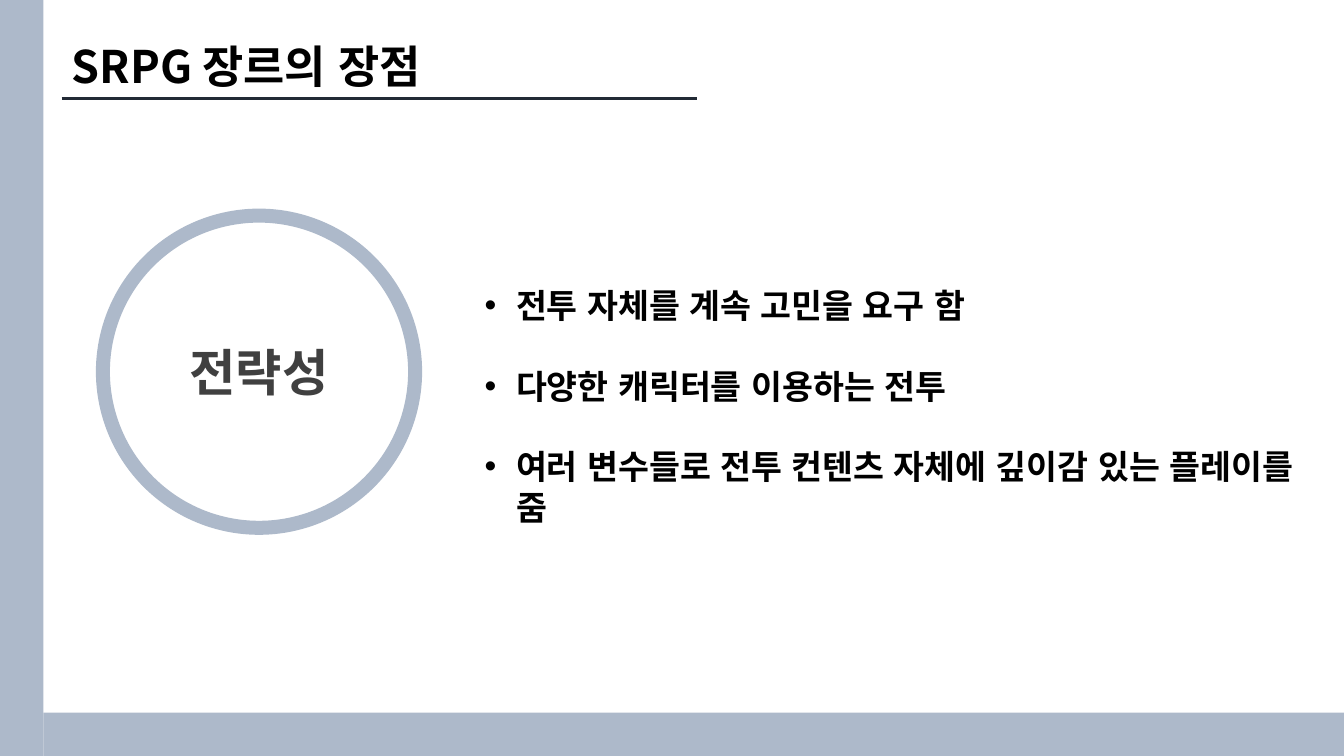
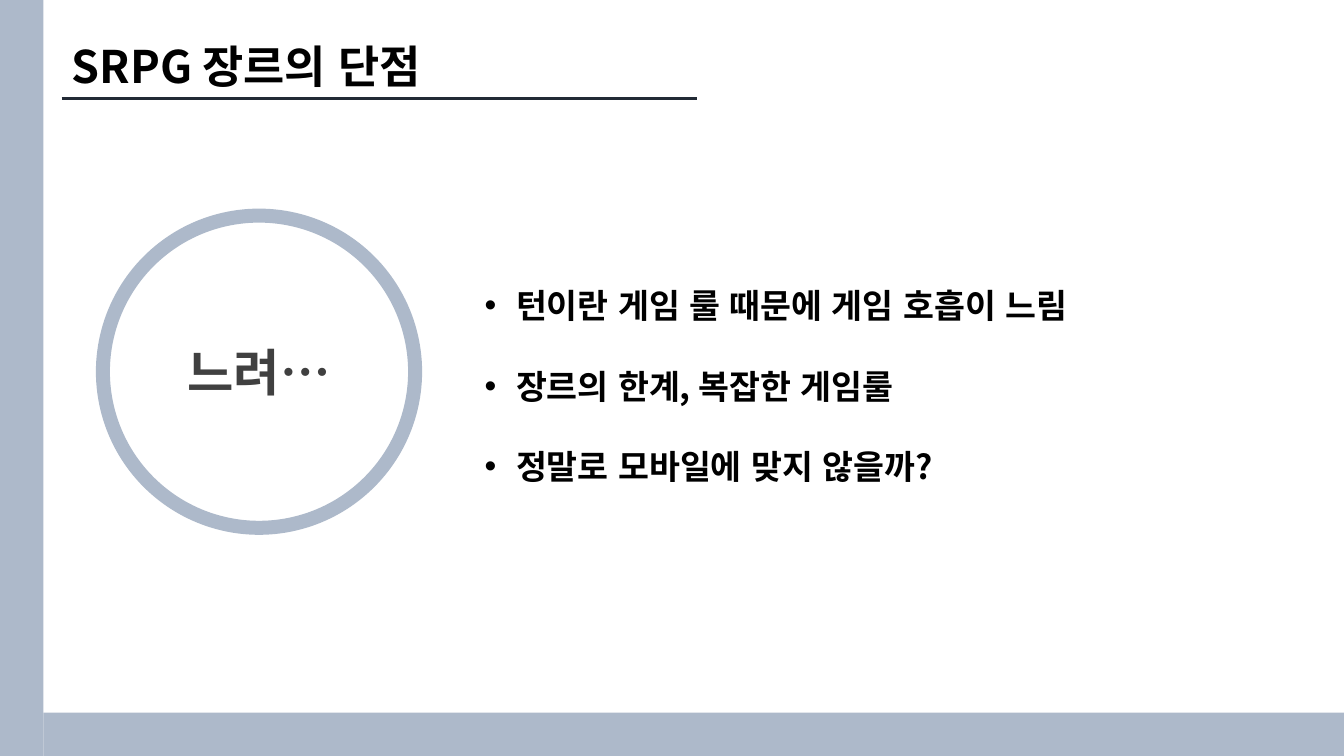
from dataclasses import dataclass

from lxml import etree
from pptx import Presentation
from pptx.dml.color import RGBColor
from pptx.enum import lang, shapes, text
from pptx.oxml import ns
from pptx.util import Pt


@dataclass(frozen=True)
class Theme:
    font: str = "Noto Sans CJK KR"
    accent: RGBColor = RGBColor(0xAD, 0xB9, 0xCA)
    rule: RGBColor = RGBColor(0x22, 0x2A, 0x35)
    ink: RGBColor = RGBColor(0, 0, 0)
    keyword: RGBColor = RGBColor(0x40, 0x40, 0x40)
    title_size: int = 32
    keyword_size: int = 36
    bullet_size: int = 24
    line_ratio: float = 1.2


THEME = Theme()
WIDTH, HEIGHT, BAND = 960, 540, 31

SLIDES = [
    ("SRPG 장르의 장점", "전략성", [
        "전투 자체를 계속 고민을 요구 함",
        "다양한 캐릭터를 이용하는 전투",
        "여러 변수들로 전투 컨텐츠 자체에 깊이감 있는 플레이를 줌",
    ]),
    ("SRPG 장르의 단점", "느려…", [
        "턴이란 게임 룰 때문에 게임 호흡이 느림",
        "장르의 한계, 복잡한 게임룰",
        "정말로 모바일에 맞지 않을까?",
    ]),
]


# Text helpers
def format_paragraph(paragraph, size, color, alignment=text.PP_ALIGN.LEFT):
    paragraph.alignment = alignment
    paragraph.line_spacing = Pt(size * THEME.line_ratio)
    for run in paragraph.runs:
        font = run.font
        font.name = THEME.font
        font.size = Pt(size)
        font.bold = True
        font.color.rgb = color
        font.language_id = lang.MSO_LANGUAGE_ID.KOREAN
        east_asian = etree.SubElement(run._r.get_or_add_rPr(), ns.qn("a:ea"))
        east_asian.set("typeface", THEME.font)


def add_bullet_mark(paragraph, indent=22.5):
    properties = paragraph._p.get_or_add_pPr()
    properties.set("marL", str(Pt(indent)))
    properties.set("indent", str(-Pt(indent)))
    etree.SubElement(properties, ns.qn("a:buFont")).set("typeface", "Arial")
    etree.SubElement(properties, ns.qn("a:buChar")).set("char", "•")


# Frame shared by all slides
def add_band(slide, left, top, width, height):
    band = slide.shapes.add_shape(
        shapes.MSO_SHAPE.RECTANGLE, Pt(left), Pt(top), Pt(width), Pt(height))
    band.shadow.inherit = False
    band.fill.solid()
    band.fill.fore_color.rgb = THEME.accent
    band.line.fill.background()


def add_frame(slide):
    add_band(slide, 0, 0, BAND, HEIGHT)
    add_band(slide, BAND, HEIGHT - BAND, WIDTH - BAND, BAND)


def add_title(slide, title):
    shape = slide.shapes.title
    shape.left, shape.top, shape.width, shape.height = Pt(44), Pt(24), Pt(459), Pt(46)
    frame = shape.text_frame
    frame.text = title
    frame.auto_size = text.MSO_AUTO_SIZE.NONE
    frame.vertical_anchor = text.MSO_ANCHOR.TOP
    format_paragraph(frame.paragraphs[0], THEME.title_size, THEME.ink)

    rule = slide.shapes.add_connector(
        shapes.MSO_CONNECTOR.STRAIGHT, Pt(44), Pt(70.5), Pt(498), Pt(70.5))
    rule.line.color.rgb = THEME.rule
    rule.line.width = Pt(2.25)
    etree.SubElement(rule._element.spPr, ns.qn("a:effectLst"))


# Content
def add_keyword_ring(slide, keyword):
    ring = slide.shapes.add_shape(
        shapes.MSO_SHAPE.OVAL, Pt(73.5), Pt(154), Pt(223), Pt(223))
    ring.shadow.inherit = False
    ring.fill.background()
    ring.line.color.rgb = THEME.accent
    ring.line.width = Pt(10)
    frame = ring.text_frame
    frame.text = keyword
    frame.vertical_anchor = text.MSO_ANCHOR.MIDDLE
    format_paragraph(frame.paragraphs[0], THEME.keyword_size, THEME.keyword,
                     text.PP_ALIGN.CENTER)


def add_bullets(slide, items):
    box = slide.shapes.add_textbox(Pt(339), Pt(200), Pt(603), Pt(180))
    frame = box.text_frame
    frame.word_wrap = True
    frame.text = "\n".join(items)
    for paragraph in frame.paragraphs:
        format_paragraph(paragraph, THEME.bullet_size, THEME.ink)
        paragraph.space_after = Pt(THEME.bullet_size * THEME.line_ratio)
        add_bullet_mark(paragraph)


def main():
    presentation = Presentation()
    presentation.slide_width, presentation.slide_height = Pt(WIDTH), Pt(HEIGHT)
    title_only = presentation.slide_layouts.get_by_name("Title Only")
    for title, keyword, items in SLIDES:
        slide = presentation.slides.add_slide(title_only)
        add_frame(slide)
        add_title(slide, title)
        add_keyword_ring(slide, keyword)
        add_bullets(slide, items)
    presentation.save("out.pptx")


if __name__ == "__main__":
    main()
